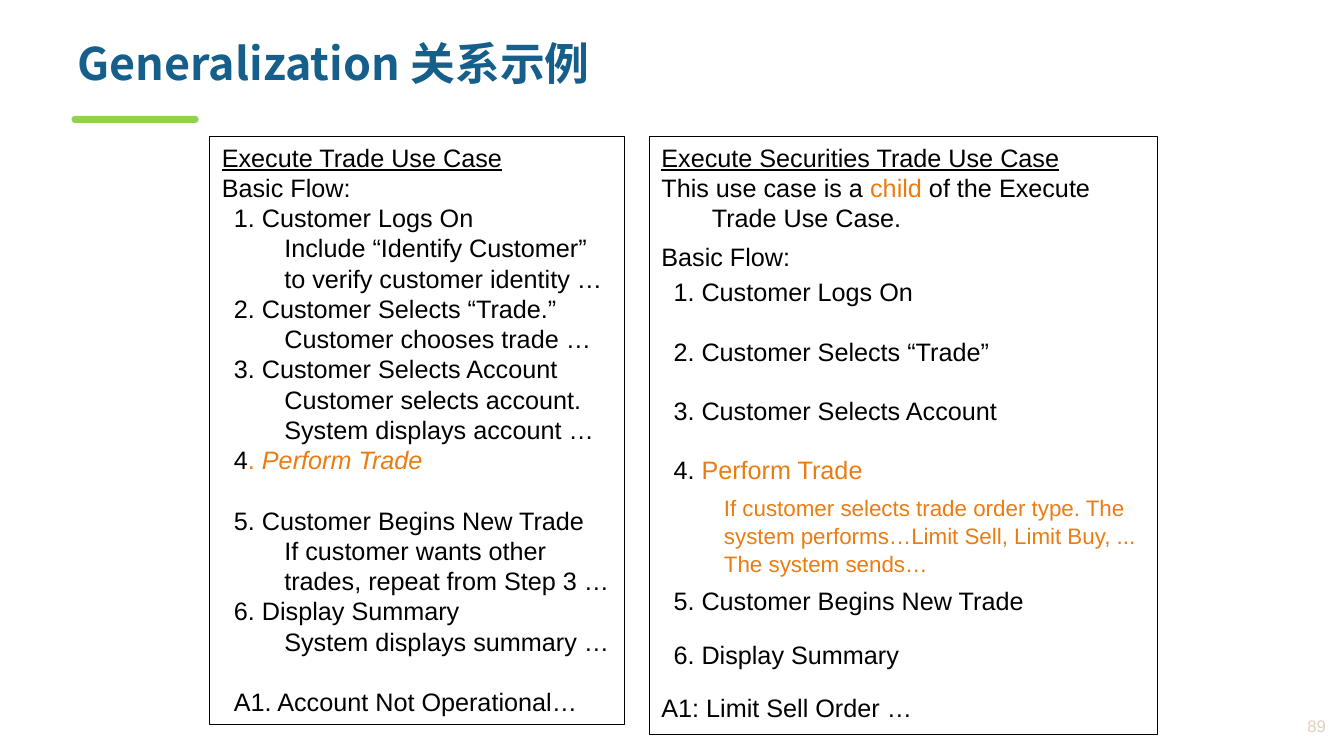
"""Build the slide that compares a general use case with its child."""
from lxml import etree
from pptx import Presentation
from pptx.dml.color import RGBColor
from pptx.enum.shapes import MSO_SHAPE as Preset
from pptx.enum.text import MSO_ANCHOR as Anchor, PP_ALIGN as Align
from pptx.oxml.ns import qn
from pptx.util import Inches, Pt

TITLE = "Generalization 关系示例"
PAGE_NUMBER = "89"
TITLE_FONT, BODY_FONT = "Noto Sans CJK SC", "Arial"
BLUE, GREEN, ORANGE, BLACK, SAND = "175F8B", "92D050", "EB7C11", "000000", "E0CFBD"

UNDERLINED = {"underline": True}
ACCENT = {"color": ORANGE}
ACCENT_ITALIC = {"color": ORANGE, "italic": True}
SMALL_ACCENT = {"color": ORANGE, "size": Pt(16)}

HANGING = {"heading": (0.5, -0.5), "step": (0.62, -0.5), "detail": (0.62, 0)}
LINE, TIGHT, SMALL = 21.6, 19.4, 20
STEP_GAP = 22.8

# Paragraph: kind, runs, line height, space before, space after
GENERAL_CASE = [
    ("heading", [("Execute Trade Use Case", UNDERLINED)], LINE, 0, 0),
    ("heading", [("Basic Flow:", {})], LINE, 0, 0),
    ("step", [("1. Customer Logs On", {})], LINE, 0, 0),
    ("detail", [("Include “Identify Customer” to verify customer identity …", {})], LINE, 0, 0),
    ("step", [("2. Customer Selects “Trade.”", {})], LINE, 0, 0),
    ("detail", [("Customer chooses trade …", {})], LINE, 0, 0),
    ("step", [("3. Customer Selects Account", {})], LINE, 0, 0),
    ("detail", [("Customer selects account. System displays account …", {})], LINE, 0, 0),
    ("step", [("4", {}), (". ", ACCENT), ("Perform Trade", ACCENT_ITALIC)], LINE, 0, LINE),
    ("step", [("5. Customer Begins New Trade", {})], LINE, 0, 0),
    ("detail", [("If customer wants other trades, repeat from Step 3 …", {})], LINE, 0, 0),
    ("step", [("6. Display Summary", {})], LINE, 0, 0),
    ("detail", [("System displays summary …", {})], LINE, 0, LINE),
    ("step", [("A1. Account Not Operational…", {})], LINE, 0, 0),
]
CHILD_CASE = [
    ("heading", [("Execute Securities Trade Use Case", UNDERLINED)], LINE, 0, 0),
    ("heading", [("This use case is a ", {}), ("child ", ACCENT),
                 ("of the Execute Trade Use Case.", {})], LINE, 0, 6),
    ("heading", [("Basic Flow:", {})], LINE, 0, 6),
    ("step", [("1. Customer Logs On", {})], TIGHT, 0, STEP_GAP),
    ("step", [("2. Customer Selects “Trade”", {})], TIGHT, 0, STEP_GAP),
    ("step", [("3. Customer Selects Account", {})], TIGHT, 0, STEP_GAP),
    ("step", [("4. ", {}), ("Perform Trade", ACCENT)], TIGHT, 0, 6),
    ("detail", [("If customer selects trade order type. The system performs…"
                 "Limit Sell, Limit Buy, ... The system sends…", SMALL_ACCENT)], SMALL, 0, 6),
    ("step", [("5. Customer Begins New Trade", {})], LINE, 0, 16.8),
    ("step", [("6. Display Summary", {})], LINE, 0, 19),
    ("heading", [("A1: Limit Sell Order …", {})], TIGHT, 0, 0),
]
PANELS = [
    ((2.08, 1.35, 4.11, 5.84), GENERAL_CASE),
    ((6.44, 1.35, 5.04, 5.94), CHILD_CASE),
]


def rgb(value):
    """Turn a hex string into a colour."""
    return RGBColor.from_string(value)


def apply(target, values):
    """Set every attribute named in a dict."""
    for name, value in values.items():
        setattr(target, name, value)


def add_run(paragraph, text, color=BLACK, name=BODY_FONT, size=Pt(18), **values):
    """Append a formatted run to a paragraph."""
    run = paragraph.add_run()
    run.text = text
    apply(run.font, {"name": name, "size": size, **values})
    run.font.color.rgb = rgb(color)
    return run


def add_preset(slide, preset, box):
    """Add a preset shape without shadow."""
    shape = slide.shapes.add_shape(preset, *map(Inches, box))
    shape.shadow.inherit = False
    return shape


def add_title(slide):
    """Place the title and the bar under it."""
    bar = add_preset(slide, Preset.ROUND_2_SAME_RECTANGLE, (0.71, 1.15, 1.26, 0.07))
    bar.adjustments[0] = bar.adjustments[1] = 0.5
    bar.fill.solid()
    bar.fill.fore_color.rgb = rgb(GREEN)
    bar.line.fill.background()
    title = slide.shapes.title
    apply(title, dict(zip(("left", "top", "width", "height"),
                          map(Inches, (0.67, 0.41, 12.27, 0.75)))))
    apply(title.text_frame, {"vertical_anchor": Anchor.TOP, "margin_top": 0, "word_wrap": True})
    paragraph = title.text_frame.paragraphs[0]
    apply(paragraph, {"alignment": Align.LEFT, "line_spacing": 0.9})
    run = add_run(paragraph, TITLE, BLUE, TITLE_FONT, Pt(32), bold=True)
    etree.SubElement(run.font._element, qn("a:ea"), typeface=TITLE_FONT)


def add_panel(slide, box, paragraphs):
    """Add an outlined panel with the steps of one use case."""
    panel = add_preset(slide, Preset.RECTANGLE, box)
    panel.fill.background()
    panel.line.color.rgb = rgb(BLACK)
    panel.line.width = Pt(0.75)
    frame = panel.text_frame
    apply(frame, {"word_wrap": True, "vertical_anchor": Anchor.TOP,
                  "margin_left": Inches(0.12), "margin_right": Inches(0.12),
                  "margin_top": Inches(0.06), "margin_bottom": Inches(0.06)})
    for index, (kind, runs, line, before, after) in enumerate(paragraphs):
        paragraph = frame.add_paragraph() if index else frame.paragraphs[0]
        apply(paragraph, {"alignment": Align.LEFT, "line_spacing": Pt(line),
                          "space_before": Pt(before), "space_after": Pt(after)})
        margin, indent = HANGING[kind]
        properties = paragraph._p.get_or_add_pPr()
        properties.set("marL", str(Inches(margin)))
        properties.set("indent", str(Inches(indent)))
        for text, values in runs:
            add_run(paragraph, text, **values)


def add_page_number(slide):
    """Add the page number in the lower right corner."""
    frame = slide.shapes.add_textbox(*map(Inches, (12.12, 7.01, 1.13, 0.38))).text_frame
    apply(frame, {"word_wrap": True, "vertical_anchor": Anchor.MIDDLE})
    frame.paragraphs[0].alignment = Align.RIGHT
    add_run(frame.paragraphs[0], PAGE_NUMBER, SAND, size=Pt(12))


def main():
    """Assemble and save the slide."""
    presentation = Presentation()
    apply(presentation, {"slide_width": Inches(13.33), "slide_height": Inches(7.5)})
    slide = presentation.slides.add_slide(presentation.slide_layouts[5])
    add_title(slide)
    for box, paragraphs in PANELS:
        add_panel(slide, box, paragraphs)
    add_page_number(slide)
    presentation.save("out.pptx")


if __name__ == "__main__":
    main()
